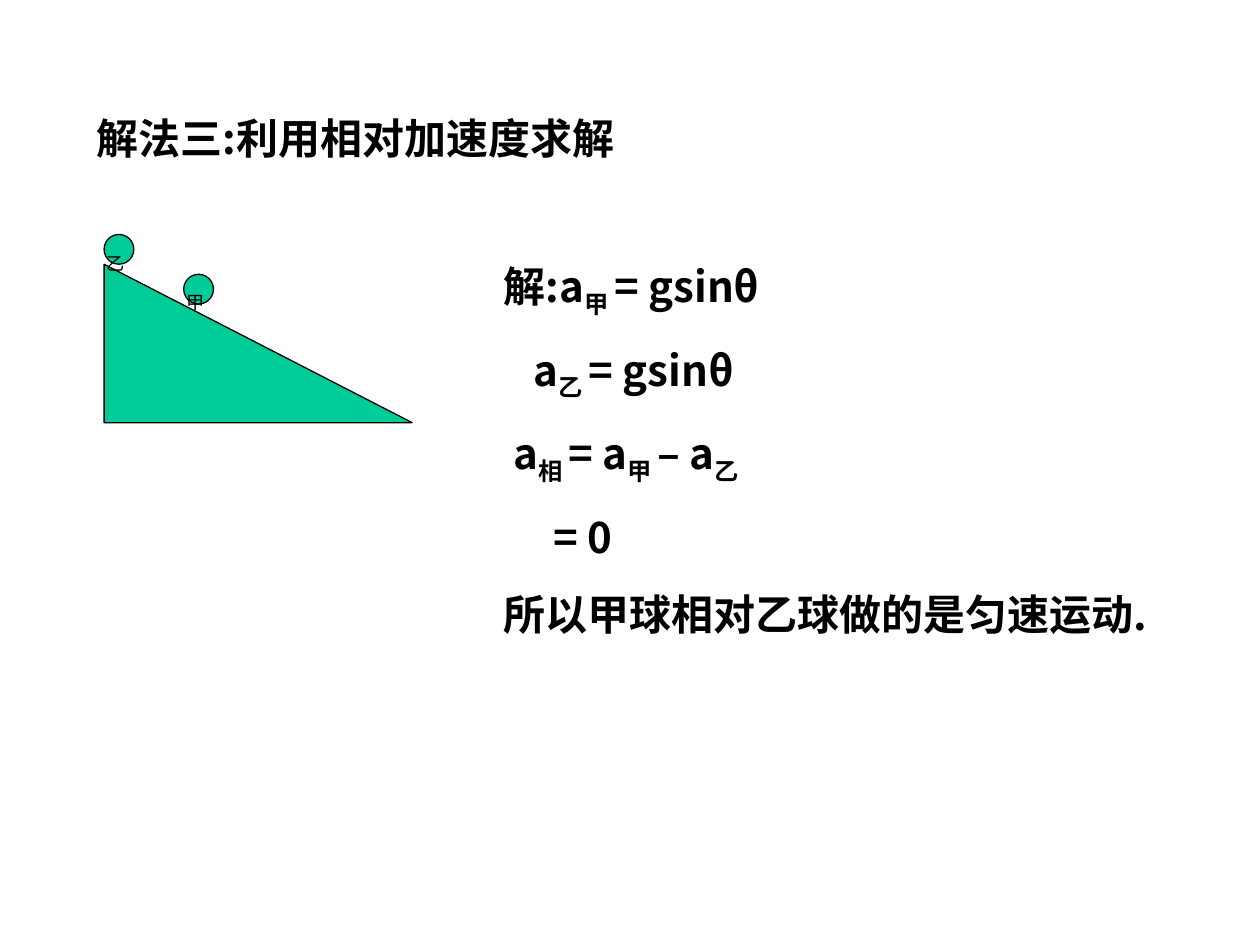
import pptx
import pptx.util
import pptx.dml.color
import pptx.enum.shapes
import pptx.enum.text
import pptx.oxml.ns
import lxml.etree

Pt = pptx.util.Pt
SHAPE = pptx.enum.shapes.MSO_SHAPE
COLORS = {"ink": "000000", "green": "00CC99"}
FONT = "Noto Sans CJK SC"
SUBSCRIPT = -25000


def rgb(name):
    return pptx.dml.color.RGBColor.from_string(COLORS[name])


def place(shape, left, top, width, height):
    shape.left, shape.top = Pt(left), Pt(top)
    shape.width, shape.height = Pt(width), Pt(height)


def write(paragraph, text, size=24, bold=True, lowered=False):
    """Add one run of text, as a subscript when lowered."""
    run = paragraph.add_run()
    run.text = text
    run.font.size, run.font.bold, run.font.name = Pt(size), bold, FONT
    run.font.color.rgb = rgb("ink")
    properties = run._r.get_or_add_rPr()
    east_asian = lxml.etree.SubElement(properties, pptx.oxml.ns.qn("a:ea"))
    east_asian.set("typeface", FONT)
    if lowered:
        properties.set("baseline", str(SUBSCRIPT))


def prepare(shape):
    """Set wrapping, top anchoring and insets; return the text frame."""
    frame = shape.text_frame
    frame.word_wrap = True
    frame.auto_size = pptx.enum.text.MSO_AUTO_SIZE.NONE
    frame.vertical_anchor = pptx.enum.text.MSO_ANCHOR.TOP
    frame.margin_left = frame.margin_right = Pt(7.2)
    frame.margin_top = frame.margin_bottom = Pt(3.6)
    return frame


def add_solid(shapes, kind, left, top, width, height):
    solid = shapes.add_shape(kind, Pt(left), Pt(top), Pt(width), Pt(height))
    solid.shadow.inherit = False
    solid.fill.solid()
    solid.fill.fore_color.rgb = rgb("green")
    solid.line.color.rgb = rgb("ink")
    solid.line.width = Pt(0.75)


def add_box(shapes, left, top, width, height):
    return prepare(shapes.add_textbox(Pt(left), Pt(top), Pt(width), Pt(height)))


def add_incline(slide):
    incline = slide.shapes.add_group_shape().shapes
    add_solid(incline, SHAPE.RIGHT_TRIANGLE, 59.5, 151, 176, 90.5)
    for left, top in ((105, 156.75), (59.5, 134)):
        add_solid(incline, SHAPE.OVAL, left, top, 17, 17)
    for ball, left, top in (("甲", 99.5, 151), ("乙", 54, 128.25)):
        label = add_box(incline, left, top, 67.5, 31.5)
        write(label.paragraphs[0], ball, size=18, bold=False, lowered=True)


def add_solution(slide):
    # Each step: indent, then pieces alternating normal and subscript
    steps = [
        (0, ["解:a", "甲 ", "= gsinθ"]),
        (17, ["a", "乙 ", "= gsinθ"]),
        (5.75, ["a", "相 ", "= a", "甲 ", "– a", "乙"]),
        (28.5, ["= 0"]),
        (0, ["所以甲球相对乙球做的是匀速运动."]),
    ]
    solution = add_box(slide.shapes, 280.75, 145.5, 408.25, 227.5)
    for number, (indent, pieces) in enumerate(steps):
        step = solution.add_paragraph() if number else solution.paragraphs[0]
        step._p.get_or_add_pPr().set("marL", str(Pt(indent)))
        if number:
            step.space_before = Pt(15)
        for position, piece in enumerate(pieces):
            write(step, piece, lowered=position % 2 == 1)


def main():
    deck = pptx.Presentation()
    deck.slide_width, deck.slide_height = Pt(720), Pt(540)
    slide = deck.slides.add_slide(deck.slide_layouts[5])

    # Heading
    heading = slide.shapes.title
    place(heading, 48, 60.5, 431.5, 36)
    heading_line = prepare(heading).paragraphs[0]
    heading_line.alignment = pptx.enum.text.PP_ALIGN.LEFT
    write(heading_line, "解法三:利用相对加速度求解")

    # Incline with two balls, then the solution steps
    add_incline(slide)
    add_solution(slide)
    deck.save("out.pptx")


if __name__ == "__main__":
    main()
